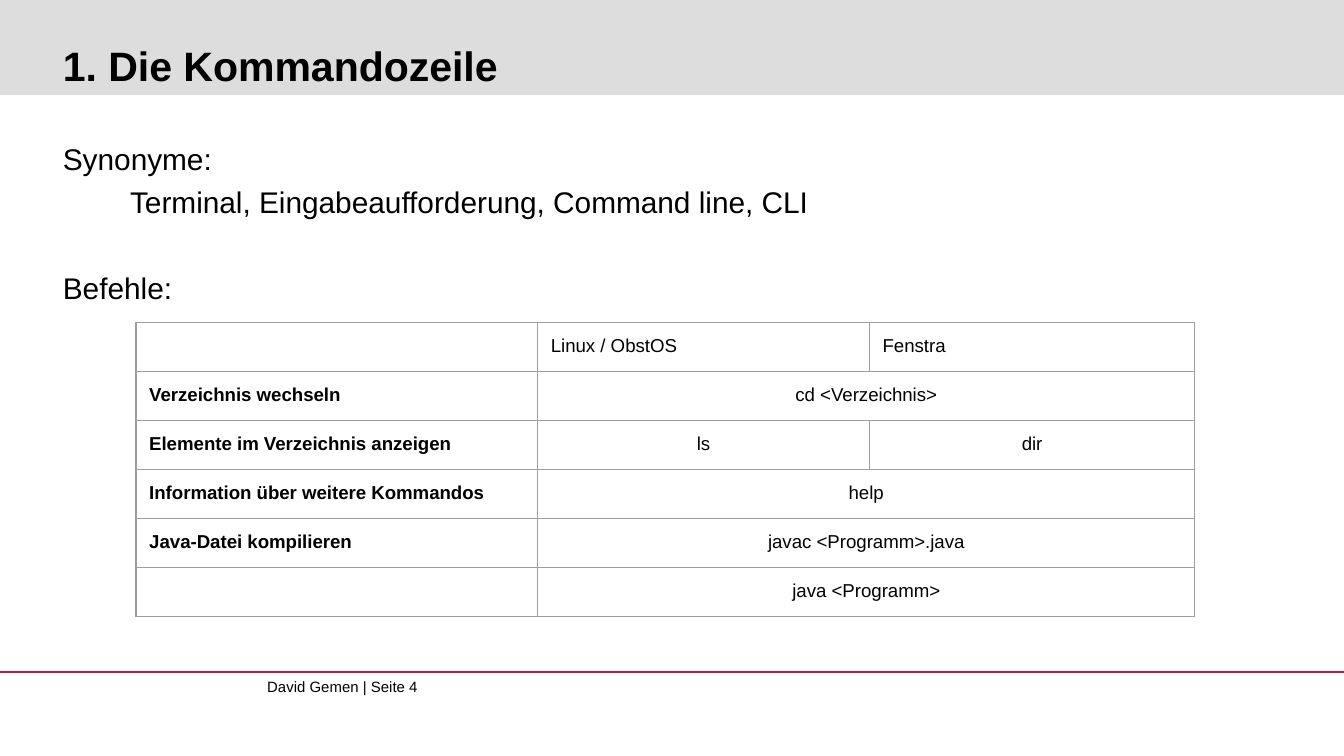
"""Build the slide about the command line and its basic commands."""
from lxml.etree import SubElement as Sub
from pptx import Presentation as Deck
from pptx.dml.color import RGBColor as Color
from pptx.enum.shapes import MSO_CONNECTOR as Link, MSO_SHAPE as Form
from pptx.enum.text import MSO_ANCHOR as Anchor, PP_ALIGN as Align
from pptx.oxml.ns import qn
from pptx.util import Cm, Pt

BLACK = Color(0x00, 0x00, 0x00)
BAND = Color(0xDD, 0xDD, 0xDD)
RULE = Color(0xBE, 0x1E, 0x3C)
GRID = Color(0x9E, 0x9E, 0x9E)
WIDE, HIGH = Cm(25.4), Cm(14.29)
COLS = (7.59, 6.27, 6.15)
ROWS = (
    ("", "Linux / ObstOS", "Fenstra"),
    ("Verzeichnis wechseln", "cd <Verzeichnis>"),
    ("Elemente im Verzeichnis anzeigen", "ls", "dir"),
    ("Information über weitere Kommandos", "help"),
    ("Java-Datei kompilieren", "javac <Programm>.java"),
    ("", "java <Programm>"),
)
BODY = (
    ("Synonyme:", {}),
    ("Terminal, Eingabeaufforderung, Command line, CLI",
     {"space_before": Pt(3.2), "indent": 1.27}),
    ("Befehle:", {"space_before": Pt(25.7)}),
)


def apply(item, values):
    """Set each named value on the item."""
    for name, value in values.items():
        setattr(item, name, value)


def write(par, text, size, bold=False):
    """Put one formatted run into a paragraph, or size it when empty."""
    if not text:
        Sub(par._p, qn("a:endParaRPr"), sz=str(size * 100))
        return
    run = par.add_run()
    run.text = text
    apply(run.font, {"name": "Arial", "size": Pt(size), "bold": bold})
    run.font.color.rgb = BLACK


def add_box(slide, place, anchor=Anchor.TOP):
    """Add an empty text frame without margins."""
    frame = slide.shapes.add_textbox(*map(Cm, place)).text_frame
    apply(frame, {"word_wrap": True, "vertical_anchor": anchor,
                  "margin_left": 0, "margin_top": 0,
                  "margin_right": 0, "margin_bottom": 0})
    return frame


def add_band(slide):
    """Add the grey band behind the title."""
    band = slide.shapes.add_shape(Form.RECTANGLE, 0, 0, WIDE, Cm(1.8))
    band.shadow.inherit = False
    band.fill.solid()
    band.fill.fore_color.rgb = BAND
    band.line.fill.background()


def add_rule(slide):
    """Add the line above the footer."""
    rule = slide.shapes.add_connector(Link.STRAIGHT, 0, Cm(12.7), WIDE, Cm(12.7))
    rule.line.color.rgb = RULE
    rule.line.width = Pt(0.75)
    Sub(rule._element.spPr, qn("a:effectLst"))


def add_body(slide):
    """Add the paragraphs above the table."""
    frame = add_box(slide, (1.19, 2.62, 23.27, 9.37))
    for num, (text, form) in enumerate(BODY):
        par = frame.add_paragraph() if num else frame.paragraphs[0]
        form = {"line_spacing": 1.05, **form}
        left = form.pop("indent", 0)
        par._p.get_or_add_pPr().set("marL", str(Cm(left)))
        apply(par, form)
        write(par, text, 16)


def frame_cell(cell):
    """Give a cell its margins, grid lines and clear fill."""
    apply(cell, {f"margin_{side}": Cm(0.25)
                 for side in ("left", "top", "right", "bottom")})
    props = cell._tc.get_or_add_tcPr()
    for side in "LRTB":
        edge = Sub(props, qn(f"a:ln{side}"), w=str(Pt(0.75)))
        Sub(Sub(edge, qn("a:solidFill")), qn("a:srgbClr"), val=str(GRID))
    cell.fill.background()


def add_grid(slide):
    """Add the table, merging the commands shared by both systems."""
    grid = slide.shapes.add_table(
        len(ROWS), len(COLS), Cm(2.57), Cm(6.1), Cm(sum(COLS)), Cm(5.11)).table
    apply(grid, {"first_row": False, "horz_banding": False})
    for col, width in zip(grid.columns, COLS):
        col.width = Cm(width)
    for row, texts in enumerate(ROWS):
        grid.rows[row].height = Cm(0.84 if row else 0.91)
        for col in range(len(COLS)):
            cell = grid.cell(row, col)
            frame_cell(cell)
            par = cell.text_frame.paragraphs[0]
            if row and col:
                par.alignment = Align.CENTER
            write(par, texts[col] if col < len(texts) else "", 10, col == 0)
        if len(texts) < len(COLS):
            grid.cell(row, 1).merge(grid.cell(row, 2))


def main():
    """Build and save the slide."""
    deck = Deck()
    apply(deck, {"slide_width": WIDE, "slide_height": HIGH})
    slide = deck.slides.add_slide(deck.slide_layouts[6])
    foot = add_box(slide, (5.05, 12.8, 10.72, 0.69))
    write(foot.paragraphs[0], "David Gemen | Seite 4", 8)
    add_rule(slide)
    add_band(slide)
    title = add_box(slide, (1.19, 0.23, 23.27, 1.47), Anchor.BOTTOM)
    write(title.paragraphs[0], "1. Die Kommandozeile", 22, True)
    add_body(slide)
    add_grid(slide)
    deck.save("out.pptx")


if __name__ == "__main__":
    main()
